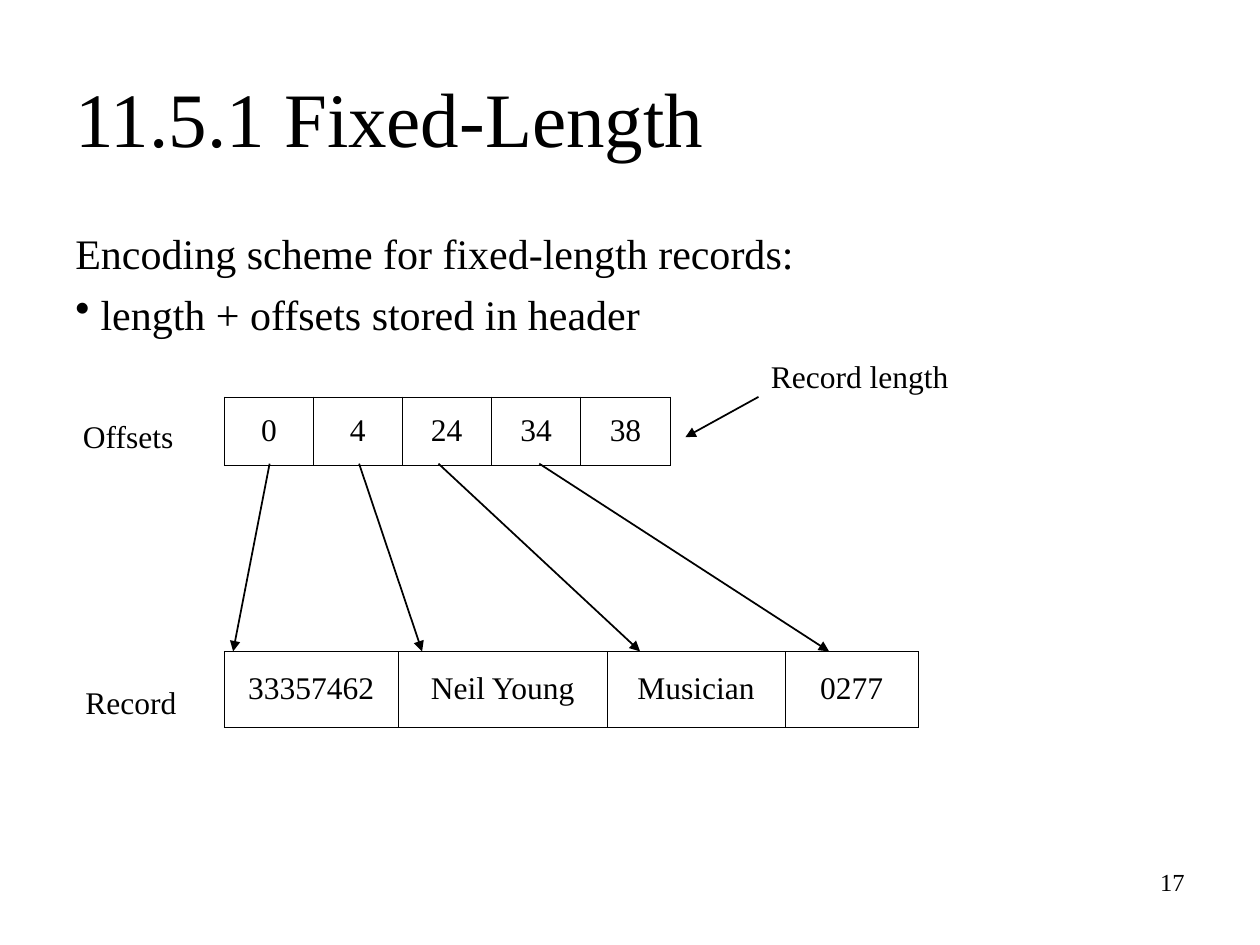
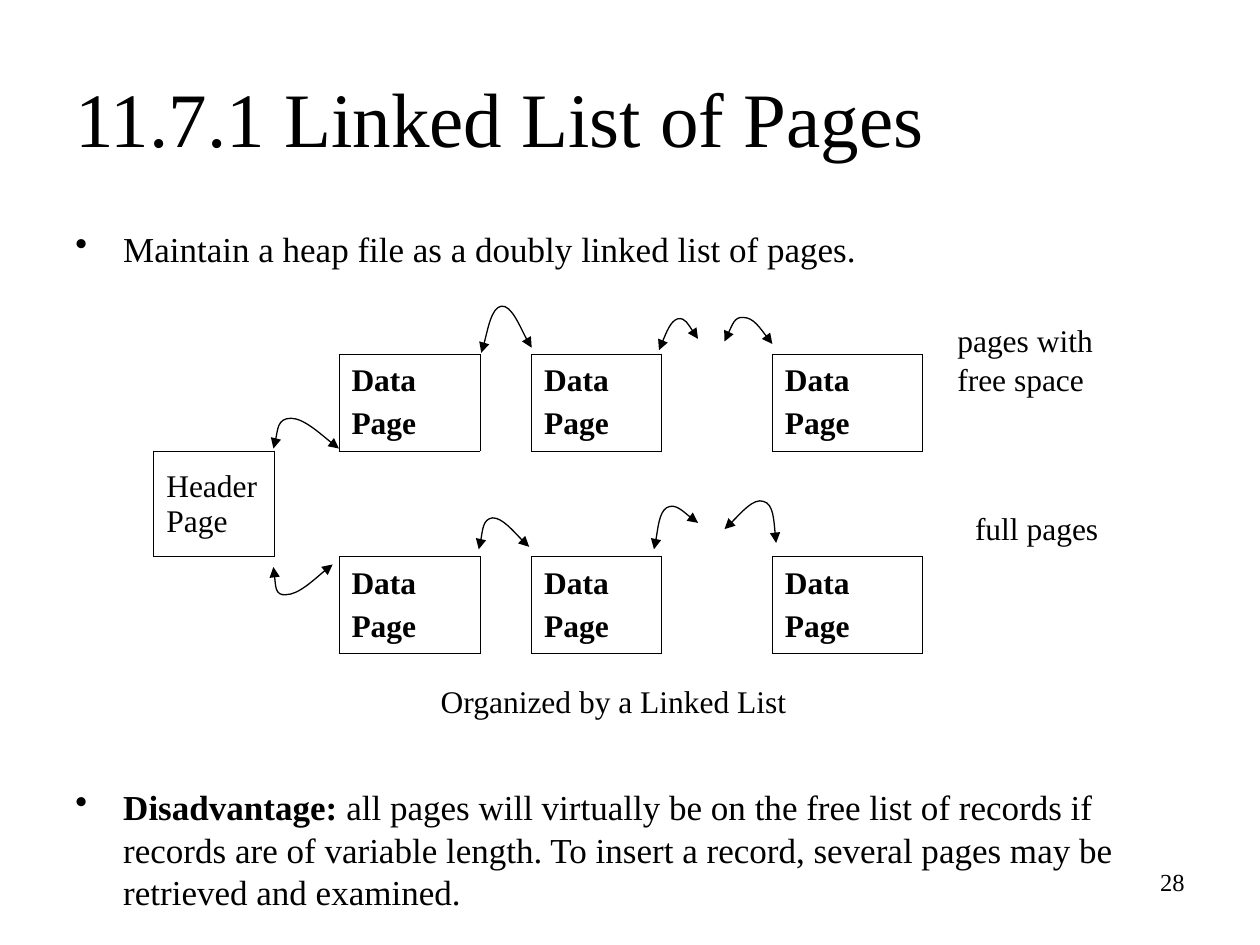
from dataclasses import dataclass

from lxml import etree
from pptx import Presentation
from pptx.dml.color import RGBColor
from pptx.enum.text import MSO_ANCHOR, PP_ALIGN
from pptx.oxml.ns import qn
from pptx.util import Inches, Pt

LEFT, CENTER, RIGHT = PP_ALIGN.LEFT, PP_ALIGN.CENTER, PP_ALIGN.RIGHT
TOP, MIDDLE = MSO_ANCHOR.TOP, MSO_ANCHOR.MIDDLE


@dataclass(frozen=True)
class Theme:
    ink: RGBColor = RGBColor(0, 0, 0)
    font: str = "Times New Roman"
    title: int = 44
    body: int = 24
    small_body: int = 20
    label: int = 18
    footer: int = 14
    text_leading: float = 1.21
    cell_leading: float = 1.11
    border: float = 0.45
    curve: float = 0.75
    arrow: float = 1


theme = Theme()


def write_text(tf, paragraphs, size, align=LEFT, gap=0, indent=0, bold=False,
               leading=theme.text_leading):
    """Each paragraph is a string, or a dict with runs, bullet and gap."""
    for i, item in enumerate(paragraphs):
        if isinstance(item, str):
            item = {"runs": [(item, bold)]}
        p = tf.paragraphs[0] if i == 0 else tf.add_paragraph()
        style = {"alignment": align, "line_spacing": Pt(round(size * leading, 1)),
                 "space_before": Pt(item.get("gap", gap) if i else 0)}
        for name, value in style.items():
            setattr(p, name, value)
        if item.get("bullet"):
            pPr = p._p.get_or_add_pPr()
            pPr.set("marL", str(Inches(indent)))
            pPr.set("indent", str(-Inches(indent)))
            etree.SubElement(pPr, qn("a:buChar")).set("char", "•")
        for text, is_bold in item["runs"]:
            r = p.add_run()
            r.text = text
            r.font.color.rgb = theme.ink
            for name, value in {"name": theme.font, "size": Pt(size), "bold": is_bold}.items():
                setattr(r.font, name, value)


def add_grid(s, left, top, widths, heights, cells, align):
    """Draw a table in which only the cells that hold text have borders."""
    table = s.shapes.add_table(len(heights), len(widths), Inches(left), Inches(top),
                               Inches(sum(widths)), Inches(sum(heights))).table
    table.first_row = table.horz_banding = False
    for column, width in zip(table.columns, widths):
        column.width = Inches(width)
    for row, height in zip(table.rows, heights):
        row.height = Inches(height)
    for r in range(len(heights)):
        for c in range(len(widths)):
            cell = table.cell(r, c)
            cell.vertical_anchor = MIDDLE
            write_text(cell.text_frame, cells.get((r, c), []), theme.label, align,
                       gap=4.5, bold=len(cells.get((r, c), [])) > 1,
                       leading=theme.cell_leading)
            tcPr = cell._tc.get_or_add_tcPr()
            neighbours = {"L": (r, c - 1), "R": (r, c + 1), "T": (r - 1, c), "B": (r + 1, c)}
            for side, neighbour in neighbours.items():
                ln = etree.SubElement(tcPr, qn("a:ln" + side))
                if (r, c) in cells or neighbour in cells:
                    ln.set("w", str(Pt(theme.border)))
                    fill = etree.SubElement(ln, qn("a:solidFill"))
                    etree.SubElement(fill, qn("a:srgbClr")).set("val", str(theme.ink))
                else:
                    etree.SubElement(ln, qn("a:noFill"))
            cell.fill.background()


prs = Presentation()
prs.slide_width, prs.slide_height = Inches(10), Inches(7.5)
blank = prs.slide_layouts[6]
record_slide, pages_slide = (prs.slides.add_slide(blank) for _ in range(2))

# Text: slide, box, paragraphs, format
fixed_length_body = [
    "Encoding scheme for fixed-length records:",
    {"runs": [("length + offsets stored in header", False)], "bullet": True, "gap": 6},
]
linked_list_body = [
    {"runs": [("Maintain a heap file as a doubly linked list of pages.", False)],
     "bullet": True},
    {"runs": [("Disadvantage: ", True),
              ("all pages will virtually be on the free list of records if records are of "
               "variable length. To insert a record, several pages may be retrieved and "
               "examined.", False)],
     "bullet": True, "gap": 295},
]
texts = [
    (record_slide, (0.5, 1.75, 9, 4.95), fixed_length_body,
     {"size": theme.body, "indent": 0.2}),
    (record_slide, (0.56, 3.26, 1.29, 0.4), ["Offsets"], {"size": theme.label}),
    (record_slide, (6.02, 2.78, 2.29, 0.4), ["Record length"], {"size": theme.label}),
    (record_slide, (0.58, 5.37, 1.11, 0.4), ["Record"], {"size": theme.label}),
    (pages_slide, (0.5, 1.75, 9, 5.7), linked_list_body,
     {"size": theme.small_body, "indent": 0.38}),
    (pages_slide, (7.5, 2.5, 1.6, 0.7), ["pages with", "free space"], {"size": theme.label}),
    (pages_slide, (7.64, 3.99, 1.6, 0.4), ["full pages"], {"size": theme.label}),
    (pages_slide, (2.85, 5.36, 4.04, 0.4), ["Organized by a Linked List"],
     {"size": theme.label, "align": CENTER}),
]
# Titles and page numbers
for s, title, number in [(record_slide, "11.5.1 Fixed-Length", "17"),
                         (pages_slide, "11.7.1 Linked List of Pages", "28")]:
    texts += [(s, (0.5, 0.3, 9, 1.25), [title], {"size": theme.title}),
              (s, (7.17, 6.83, 2.33, 0.52), [number],
               {"size": theme.footer, "align": RIGHT})]
for s, box, paragraphs, style in texts:
    tf = s.shapes.add_textbox(*map(Inches, box)).text_frame
    tf.word_wrap = True
    tf.vertical_anchor = MIDDLE if style["size"] == theme.title else TOP
    write_text(tf, paragraphs, **style)

# Offsets and record
offsets = ["0", "4", "24", "34", "38"]
fields = ["33357462", "Neil Young", "Musician", "0277"]
for top, widths, height, values in [(3.15, [0.71, 0.7, 0.71, 0.71, 0.71], 0.54, offsets),
                                    (5.17, [1.38, 1.66, 1.41, 1.06], 0.6, fields)]:
    add_grid(record_slide, 1.78, top, widths, [height],
             {(0, c): [value] for c, value in enumerate(values)}, CENTER)

# Header page and the two rows of data pages
page_cells = {(r, c): ["Data", "Page"] for r in (0, 2) for c in (2, 4, 6)}
page_cells[1, 0] = ["Header Page"]
add_grid(pages_slide, 1.22, 2.81, [0.96, 0.51, 1.12, 0.41, 1.03, 0.88, 1.19],
         [0.77, 0.84, 0.77], page_cells, LEFT)

# Arrows from each offset to its field, and to the record length
arrows = [((6.02, 3.15), (5.44, 3.47))]
arrows += [((x1, 3.68), (x2, 5.17))
           for x1, x2 in [(2.14, 1.85), (2.85, 3.35), (3.48, 5.08), (4.28, 6.58)]]
lines = []
for start, end in arrows:
    arrow = record_slide.shapes.add_connector(1, *map(Inches, start + end))
    lines.append((arrow, theme.arrow, ["tailEnd"]))

# Curved links between pages: start, then two cubic segments of three points
links = [
    [(2.17, 3.56), (2.19, 3.51), (2.2, 3.32), (2.31, 3.32),
     (2.41, 3.32), (2.62, 3.51), (2.69, 3.56)],
    [(3.82, 2.8), (3.85, 2.72), (3.9, 2.44), (3.98, 2.43),
     (4.06, 2.42), (4.17, 2.69), (4.22, 2.76)],
    [(5.23, 2.78), (5.25, 2.73), (5.32, 2.55), (5.38, 2.53),
     (5.44, 2.52), (5.51, 2.65), (5.54, 2.69)],
    [(5.75, 2.71), (5.77, 2.67), (5.83, 2.51), (5.9, 2.52),
     (5.98, 2.52), (6.09, 2.68), (6.13, 2.73)],
    [(2.17, 4.5), (2.18, 4.55), (2.18, 4.73), (2.27, 4.72),
     (2.37, 4.72), (2.57, 4.53), (2.64, 4.48)],
    [(3.8, 4.36), (3.82, 4.3), (3.83, 4.12), (3.91, 4.11),
     (3.99, 4.11), (4.14, 4.29), (4.2, 4.34)],
    [(5.19, 4.36), (5.21, 4.29), (5.23, 4.07), (5.29, 4.03),
     (5.36, 3.99), (5.49, 4.12), (5.54, 4.15)],
    [(5.75, 4.2), (5.81, 4.15), (5.98, 3.95), (6.06, 3.98),
     (6.14, 4), (6.15, 4.23), (6.16, 4.31)],
]
for link in links:
    points = [(Inches(x), Inches(y)) for x, y in link]
    builder = pages_slide.shapes.build_freeform(*points[0])
    builder.add_line_segments(points[1:], close=False)
    curve = builder.convert_to_shape()
    curve.fill.background()
    outline = next(curve._element.iter(qn("a:path")))
    steps = outline.findall(qn("a:lnTo"))
    for i in range(0, len(steps), 3):
        bezier = etree.SubElement(outline, qn("a:cubicBezTo"))
        for step in steps[i:i + 3]:
            bezier.append(step[0])
            outline.remove(step)
    lines.append((curve, theme.curve, ["headEnd", "tailEnd"]))

# Line style and arrowheads
for shape, width, ends in lines:
    shape.line.color.rgb = theme.ink
    shape.line.width = Pt(width)
    ln = shape.line._get_or_add_ln()
    for end in ends:
        etree.SubElement(ln, qn("a:" + end)).set("type", "triangle")
    etree.SubElement(shape._element.spPr, qn("a:effectLst"))

prs.save("out.pptx")
